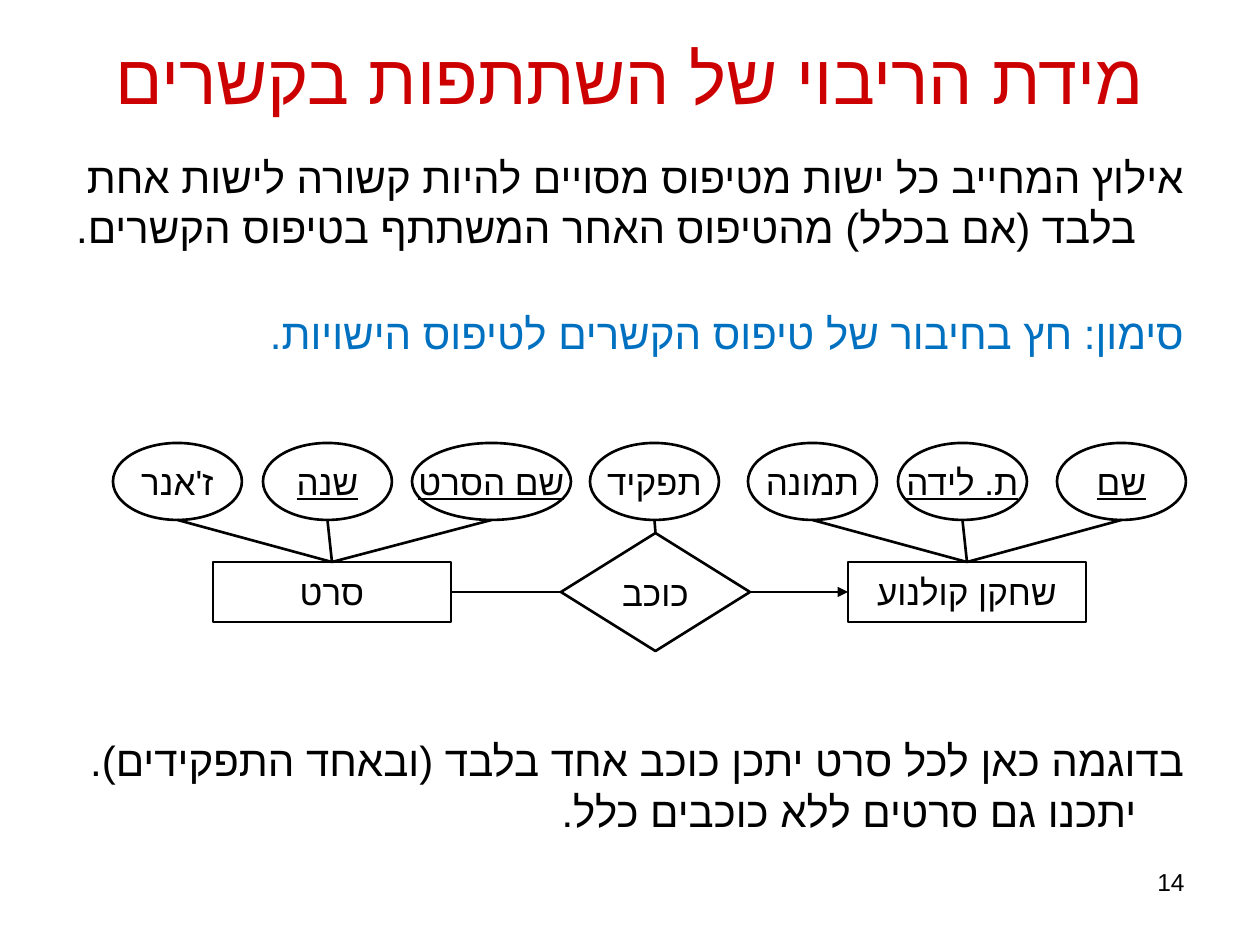
from lxml.etree import SubElement
from pptx import Presentation
from pptx.dml.color import RGBColor
from pptx.enum.shapes import MSO_CONNECTOR, MSO_SHAPE
from pptx.enum.text import MSO_ANCHOR, MSO_AUTO_SIZE, PP_ALIGN
from pptx.oxml.ns import qn
from pptx.util import Pt

SCALE = 914400 / 126
INK, RED, BLUE = "000000", "CC0000", "0070C0"


def px(num):
    return round(num * SCALE)


def color(code):
    return RGBColor.from_string(code)


def apply(item, form):
    for key, val in form.items():
        setattr(item, key, val)


class Board:
    face = "Arial"
    line = 1.5

    def __init__(self, slide):
        self.slide = slide

    def words(self, para, text, size, code=INK, under=None, rtl=False):
        run = para.add_run()
        run.text = text
        apply(run.font, {"name": self.face, "size": Pt(size), "underline": under})
        run.font.color.rgb = color(code)
        SubElement(run._r.get_or_add_rPr(), qn("a:cs"), typeface=self.face)
        if rtl:
            para._p.get_or_add_pPr().set("rtl", "1")

    def title(self, text, box):
        head = self.slide.shapes.title
        apply(head, dict(zip(("left", "top", "width", "height"), map(px, box))))
        apply(head.text_frame, {"auto_size": MSO_AUTO_SIZE.NONE,
                                "vertical_anchor": MSO_ANCHOR.MIDDLE})
        para = head.text_frame.paragraphs[0]
        para.alignment = PP_ALIGN.CENTER
        self.words(para, text, 40, RED, rtl=True)

    def text(self, rows, box, size, hang=0, rtl=False):
        frame = self.slide.shapes.add_textbox(*map(px, box)).text_frame
        frame.word_wrap = True
        for num, (text, code, gap) in enumerate(rows):
            para = frame.add_paragraph() if num else frame.paragraphs[0]
            apply(para, {"alignment": PP_ALIGN.RIGHT, "space_before": Pt(gap)})
            if hang:
                props = para._p.get_or_add_pPr()
                props.set("marL", str(px(hang)))
                props.set("indent", str(-px(hang)))
            self.words(para, text, size, code, rtl=rtl)

    def shape(self, kind, text, box, under=None):
        node = self.slide.shapes.add_shape(kind, *map(px, box))
        node.shadow.inherit = False
        node.fill.background()
        node.line.color.rgb = color(INK)
        node.line.width = Pt(self.line)
        apply(node.text_frame, {"word_wrap": False,
                                "vertical_anchor": MSO_ANCHOR.MIDDLE})
        para = node.text_frame.paragraphs[0]
        para.alignment = PP_ALIGN.CENTER
        self.words(para, text, 20, under=under)
        return node

    def link(self, start, side, goal, end=None, arrow=False):
        spot = goal.left + goal.width // 2, goal.top + goal.height
        wire = self.slide.shapes.add_connector(
            MSO_CONNECTOR.STRAIGHT, start.left, start.top, *spot)
        wire.begin_connect(start, side)
        if end is not None:
            wire.end_connect(goal, end)
        wire.line.color.rgb = color(INK)
        wire.line.width = Pt(self.line)
        props = wire._element.spPr
        if arrow:
            SubElement(props.find(qn("a:ln")), qn("a:tailEnd"), type="triangle")
        SubElement(props, qn("a:effectLst"))


def main():
    deck = Presentation()
    apply(deck, {"slide_width": px(1260), "slide_height": px(945)})
    board = Board(deck.slides.add_slide(deck.slide_layouts[5]))

    board.title("מידת הריבוי של השתתפות בקשרים", (63, 38, 1134, 77))
    board.text([
        ("אילוץ המחייב כל ישות מטיפוס מסויים להיות קשורה לישות אחת בלבד "
         "(אם בכלל) מהטיפוס האחר המשתתף בטיפוס הקשרים.", INK, 0),
        ("סימון: חץ בחיבור של טיפוס הקשרים לטיפוס הישויות.", BLUE, 32),
        ("בדוגמה כאן לכל סרט יתכן כוכב אחד בלבד (ובאחד התפקידים). "
         "יתכנו גם סרטים ללא כוכבים כלל.", INK, 215),
    ], (63, 145, 1134, 753), 24, hang=48, rtl=True)
    board.text([("14", INK, 0)], (903, 861, 294, 66), 14)

    star = board.shape(MSO_SHAPE.DIAMOND, "כוכב", (561, 533, 189, 118))
    role = board.shape(MSO_SHAPE.OVAL, "תפקיד", (590, 443, 129, 77))
    board.link(star, 0, role)

    groups = [
        ("סרט", 213, 1, 3, False,
         [("ז'אנר", 113, 129, None), ("שנה", 263, 129, True),
          ("שם הסרט", 412, 159, True)]),
        ("שחקן קולנוע", 848, 3, 1, True,
         [("תמונה", 748, 129, None), ("ת. לידה", 898, 129, True),
          ("שם", 1057, 129, True)]),
    ]
    for name, left, out, into, arrow, traits in groups:
        entity = board.shape(MSO_SHAPE.RECTANGLE, name, (left, 562, 238, 60))
        board.link(star, out, entity, into, arrow)
        for label, edge, width, key in traits:
            trait = board.shape(MSO_SHAPE.OVAL, label, (edge, 443, width, 77), key)
            board.link(entity, 0, trait)

    deck.save("out.pptx")


if __name__ == "__main__":
    main()
